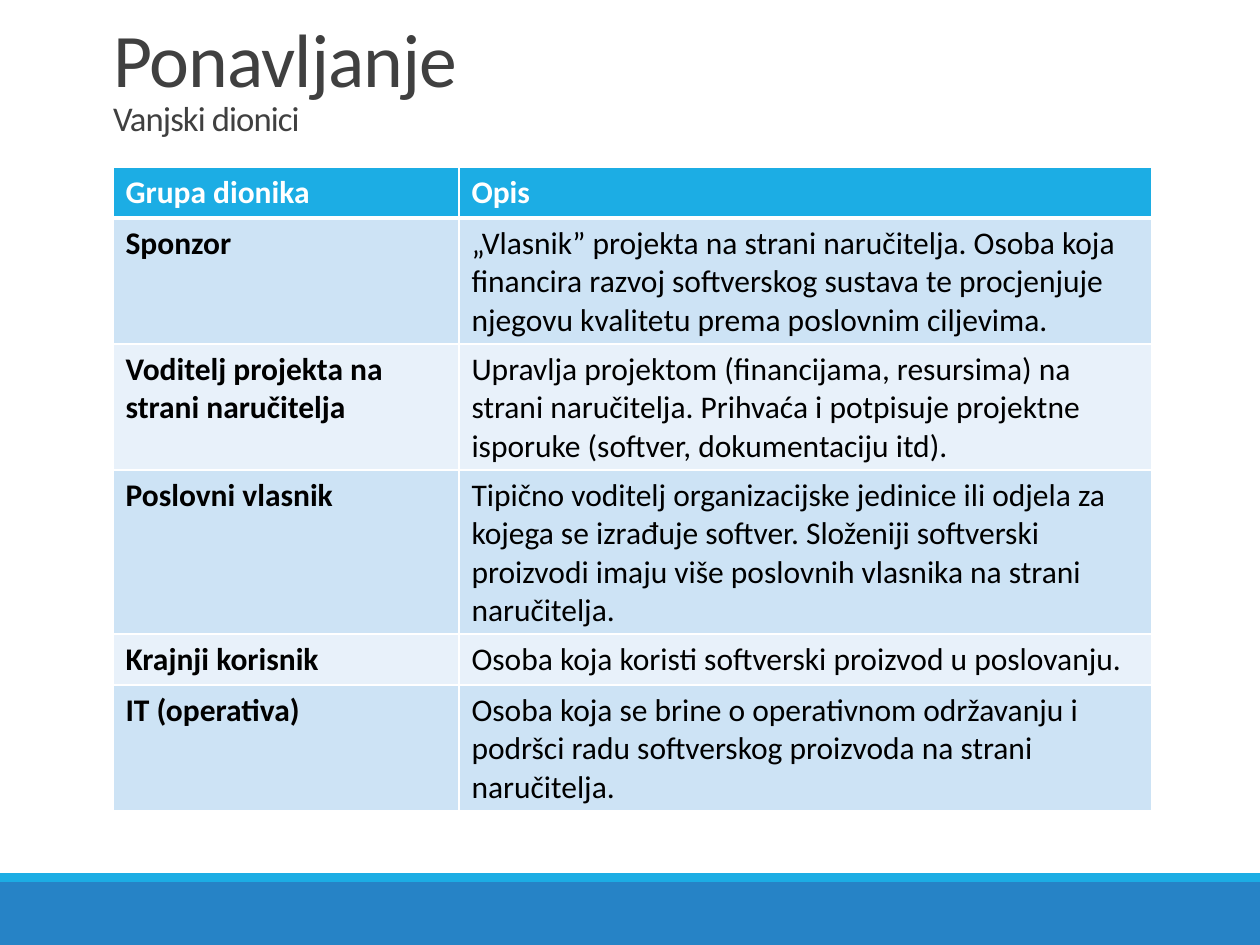
from lxml.etree import SubElement
from pptx import Presentation
from pptx.dml.color import RGBColor
from pptx.enum.shapes import MSO_SHAPE
from pptx.enum.text import MSO_ANCHOR
from pptx.oxml.ns import qn
from pptx.util import Pt

PX = 914400 / 126
FONT = "Calibri"
WHITE = RGBColor(0xFF, 0xFF, 0xFF)
BLACK = RGBColor(0x00, 0x00, 0x00)
GRAY = RGBColor(0x40, 0x40, 0x40)
CYAN = RGBColor(0x1C, 0xAD, 0xE4)
BLUE = RGBColor(0x26, 0x83, 0xC6)
BAND_DARK = RGBColor(0xCD, 0xE3, 0xF5)
BAND_LIGHT = RGBColor(0xE8, 0xF1, 0xFA)

FOOTER_BARS = [((0, 882, 1260, 63), BLUE), ((0, 873, 1260, 9), CYAN)]
TITLE_BOX = (113, 34, 1040, 111)
TITLE_LINES = [("Ponavljanje", 43.2), ("Vanjski dionici", 19.8)]
TABLE_BOX = (113, 167, 1039, 644)
COLUMN_WIDTHS = [346, 693]
ROW_HEIGHT = 51
ROWS = [
    ("Grupa dionika", "Opis"),
    ("Sponzor", "„Vlasnik” projekta na strani naručitelja. Osoba koja financira razvoj "
     "softverskog sustava te procjenjuje njegovu kvalitetu prema poslovnim ciljevima."),
    ("Voditelj projekta na strani naručitelja",
     "Upravlja projektom (financijama, resursima) na strani naručitelja. Prihvaća i "
     "potpisuje projektne isporuke (softver, dokumentaciju itd)."),
    ("Poslovni vlasnik",
     "Tipično voditelj organizacijske jedinice ili odjela za kojega se izrađuje softver. "
     "Složeniji softverski proizvodi imaju više poslovnih vlasnika na strani naručitelja."),
    ("Krajnji korisnik", "Osoba koja koristi softverski proizvod u poslovanju."),
    ("IT (operativa)", "Osoba koja se brine o operativnom održavanju i podršci radu "
     "softverskog proizvoda na strani naručitelja."),
]


def emu(*lengths):
    return [round(length * PX) for length in lengths]


def style_run(run, size, color, bold=False):
    run.font.name = FONT
    run.font.size = Pt(size)
    run.font.bold = bold
    run.font.color.rgb = color


def add_footer(slide):
    for box, color in FOOTER_BARS:
        bar = slide.shapes.add_shape(MSO_SHAPE.RECTANGLE, *emu(*box))
        bar.shadow.inherit = False
        bar.fill.solid()
        bar.fill.fore_color.rgb = color
        bar.line.fill.background()


def add_title(slide):
    text_frame = slide.shapes.add_textbox(*emu(*TITLE_BOX)).text_frame
    text_frame.word_wrap = True
    text_frame.vertical_anchor = MSO_ANCHOR.BOTTOM
    text_frame.margin_left = text_frame.margin_right = 0
    paragraph = text_frame.paragraphs[0]
    paragraph.text = "\v".join(text for text, size in TITLE_LINES)
    paragraph.line_spacing = 0.85
    for run, (text, size) in zip(paragraph.runs, TITLE_LINES):
        style_run(run, size, GRAY)
        run._r.get_or_add_rPr().set("spc", "-50")


def add_borders(cell, header):
    properties = cell._tc.get_or_add_tcPr()
    for side in "LRTB":
        width = Pt(3 if header and side == "B" else 1)
        line = SubElement(properties, qn(f"a:ln{side}"), w=str(width))
        fill = SubElement(line, qn("a:solidFill"))
        SubElement(fill, qn("a:srgbClr"), val=str(WHITE))


def add_stakeholder_table(slide):
    frame = slide.shapes.add_table(len(ROWS), len(COLUMN_WIDTHS), *emu(*TABLE_BOX))
    table = frame.table
    for column, width in zip(table.columns, emu(*COLUMN_WIDTHS)):
        column.width = width
    for index, texts in enumerate(ROWS):
        table.rows[index].height = emu(ROW_HEIGHT)[0]
        header = index == 0
        band = CYAN if header else BAND_DARK if index % 2 else BAND_LIGHT
        for column, text in enumerate(texts):
            cell = table.cell(index, column)
            cell.text_frame.text = text
            run = cell.text_frame.paragraphs[0].runs[0]
            style_run(run, 18, WHITE if header else BLACK, header or column == 0)
            add_borders(cell, header)
            cell.fill.solid()
            cell.fill.fore_color.rgb = band
    frame.height = emu(TABLE_BOX[3])[0]


def main():
    presentation = Presentation()
    presentation.slide_width, presentation.slide_height = emu(1260, 945)
    slide = presentation.slides.add_slide(presentation.slide_layouts[6])
    add_footer(slide)
    add_title(slide)
    add_stakeholder_table(slide)
    presentation.save("out.pptx")


if __name__ == "__main__":
    main()
